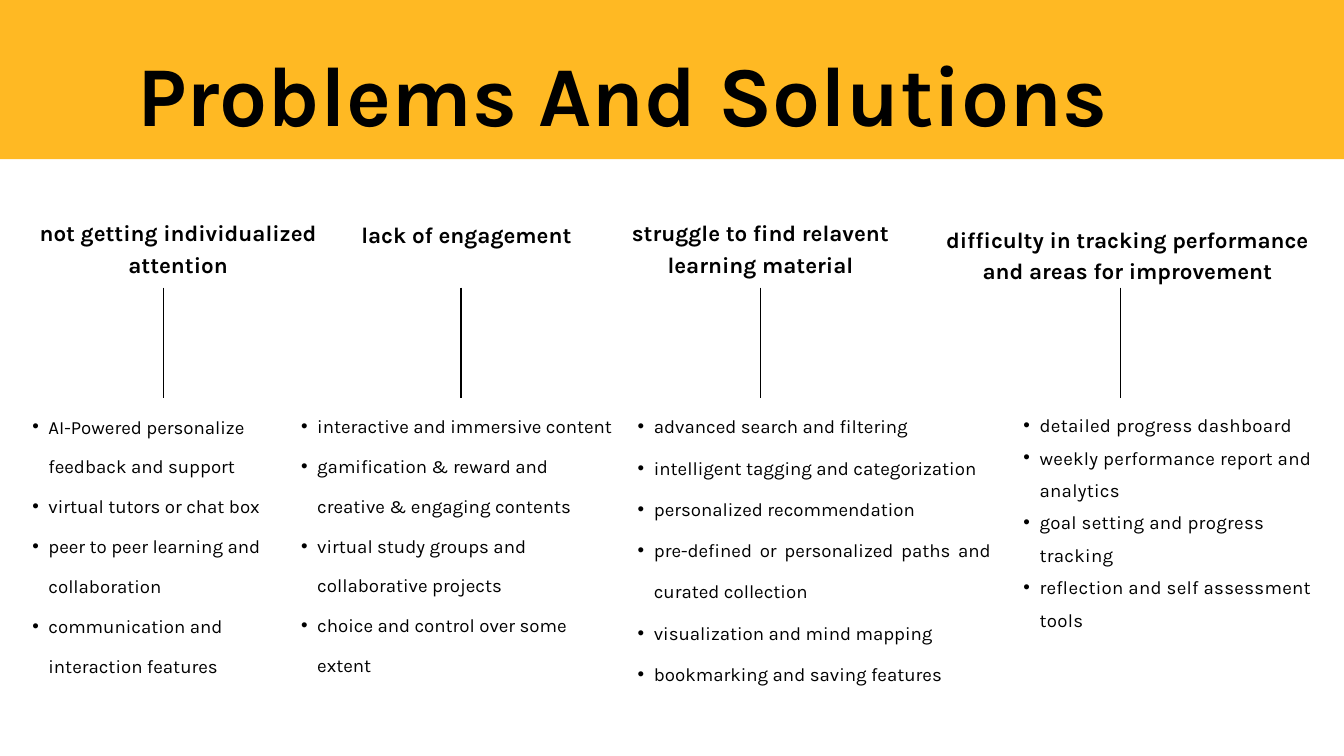
from pptx import Presentation
from pptx.dml.color import RGBColor
from pptx.enum.shapes import MSO_CONNECTOR, MSO_SHAPE
from pptx.enum.text import MSO_ANCHOR, MSO_AUTO_SIZE, PP_ALIGN
from pptx.oxml.ns import qn
from pptx.util import Inches, Pt
from lxml import etree

LEFT, CENTER, JUSTIFY = PP_ALIGN.LEFT, PP_ALIGN.CENTER, PP_ALIGN.JUSTIFY
BLACK, AMBER, WHITE = "000000", "FFB923", "FFFFFF"

# Content: box is left, top, width, height in inches; leading in points
TITLE = "Problems And Solutions"
COLUMNS = [
    {"problem": ["not getting individualized", "attention"],
     "problem_box": (0.57, 3.2, 4.16, 0.89), "line_x": 2.43,
     "solutions": ["AI-Powered personalize feedback and support",
                   "virtual tutors or chat box",
                   "peer to peer learning and collaboration",
                   "communication and interaction features"],
     "list_box": (0.25, 5.92, 3.87, 4.09), "leading": 42.8},
    {"problem": ["lack of engagement"],
     "problem_box": (4.62, 3.23, 4.64, 0.43), "line_x": 6.86,
     "solutions": ["interactive and immersive content",
                   "gamification & reward and creative & engaging contents",
                   "virtual study groups and collaborative projects",
                   "choice and control over some extent"],
     "list_box": (4.25, 5.92, 4.91, 4.61), "leading": 42.6},
    {"problem": ["struggle to find relavent", "learning material"],
     "problem_box": (9.36, 3.2, 3.91, 0.89), "line_x": 11.32,
     "solutions": ["advanced search and filtering",
                   "intelligent tagging and categorization",
                   "personalized recommendation",
                   "pre-defined or personalized paths and curated collection",
                   "visualization and mind mapping",
                   "bookmarking and saving features"],
     "list_box": (9.26, 5.9, 5.49, 4.17), "leading": 44.2, "align": JUSTIFY},
    {"problem": ["difficulty in tracking performance",
                 "and areas for improvement"],
     "problem_box": (14.03, 3.3, 5.49, 0.89), "line_x": 16.67,
     "solutions": ["detailed progress dashboard",
                   "weekly performance report and analytics",
                   "goal setting and progress tracking",
                   "reflection and self assessment tools"],
     "list_box": (15, 6.01, 4.71, 3.32), "leading": 34.8, "tracking": 0.3},
]
LINE_TOP, LINE_LENGTH = 4.28, 1.65


def color(hex_value):
    return RGBColor.from_string(hex_value)


def add_bullet(p):
    pPr = p._p.get_or_add_pPr()
    pPr.set("marL", str(Inches(0.47)))
    pPr.set("indent", str(Inches(-0.24)))
    etree.SubElement(pPr, qn("a:buFont")).set("typeface", "Arial")
    etree.SubElement(pPr, qn("a:buChar")).set("char", "•")


def write(sp, box, lines, size, leading, align=LEFT, bold=False,
          bullets=False, tracking=0):
    sp.left, sp.top, sp.width, sp.height = map(Inches, box)
    tf = sp.text_frame
    frame = {"word_wrap": True, "auto_size": MSO_AUTO_SIZE.NONE,
             "vertical_anchor": MSO_ANCHOR.TOP, "margin_left": 0,
             "margin_top": 0, "margin_right": 0, "margin_bottom": 0}
    for name, value in frame.items():
        setattr(tf, name, value)
    for i, line in enumerate(lines):
        p = tf.add_paragraph() if i else tf.paragraphs[0]
        if bullets:
            add_bullet(p)
        spacing = {"alignment": align, "line_spacing": Pt(leading),
                   "space_before": Pt(0), "space_after": Pt(0)}
        for name, value in spacing.items():
            setattr(p, name, value)
        r = p.add_run()
        r.text = line
        font = {"name": "Karla", "size": Pt(size), "bold": bold}
        for name, value in font.items():
            setattr(r.font, name, value)
        r.font.color.rgb = color(BLACK)
        if tracking:
            r._r.get_or_add_rPr().set("spc", str(round(tracking * 100)))


prs = Presentation()
prs.slide_width, prs.slide_height = Inches(20), Inches(11.25)
s = prs.slides.add_slide(prs.slide_layouts[4])  # title and four bodies
s.background.fill.solid()
s.background.fill.fore_color.rgb = color(WHITE)

# Header band, placed behind the title
band = s.shapes.add_shape(MSO_SHAPE.RECTANGLE, 0, Inches(-0.43),
                          prs.slide_width, Inches(2.8))
band.shadow.inherit = False
band.fill.solid()
band.fill.fore_color.rgb = color(AMBER)
band.line.fill.background()
s.shapes._spTree.insert(2, band._element)
write(s.shapes.title, (2.04, 0.36, 14.84, 1.71), [TITLE], 91.2, 127.7, bold=True)

# Each column: problem, connecting line, list of solutions
for idx, col in enumerate(COLUMNS, start=1):
    heading = s.shapes.add_textbox(0, 0, 0, 0)
    write(heading, col["problem_box"], col["problem"], 24, 33.6, CENTER, bold=True)

    x = Inches(col["line_x"])
    line = s.shapes.add_connector(MSO_CONNECTOR.STRAIGHT, x, Inches(LINE_TOP),
                                  x, Inches(LINE_TOP + LINE_LENGTH))
    line.line.color.rgb = color(BLACK)
    line.line.width = Pt(1.5)
    etree.SubElement(line._element.spPr, qn("a:effectLst"))

    write(s.placeholders[idx], col["list_box"], col["solutions"], 20,
          col["leading"], col.get("align", LEFT), bullets=True,
          tracking=col.get("tracking", 0))

prs.save("out.pptx")
